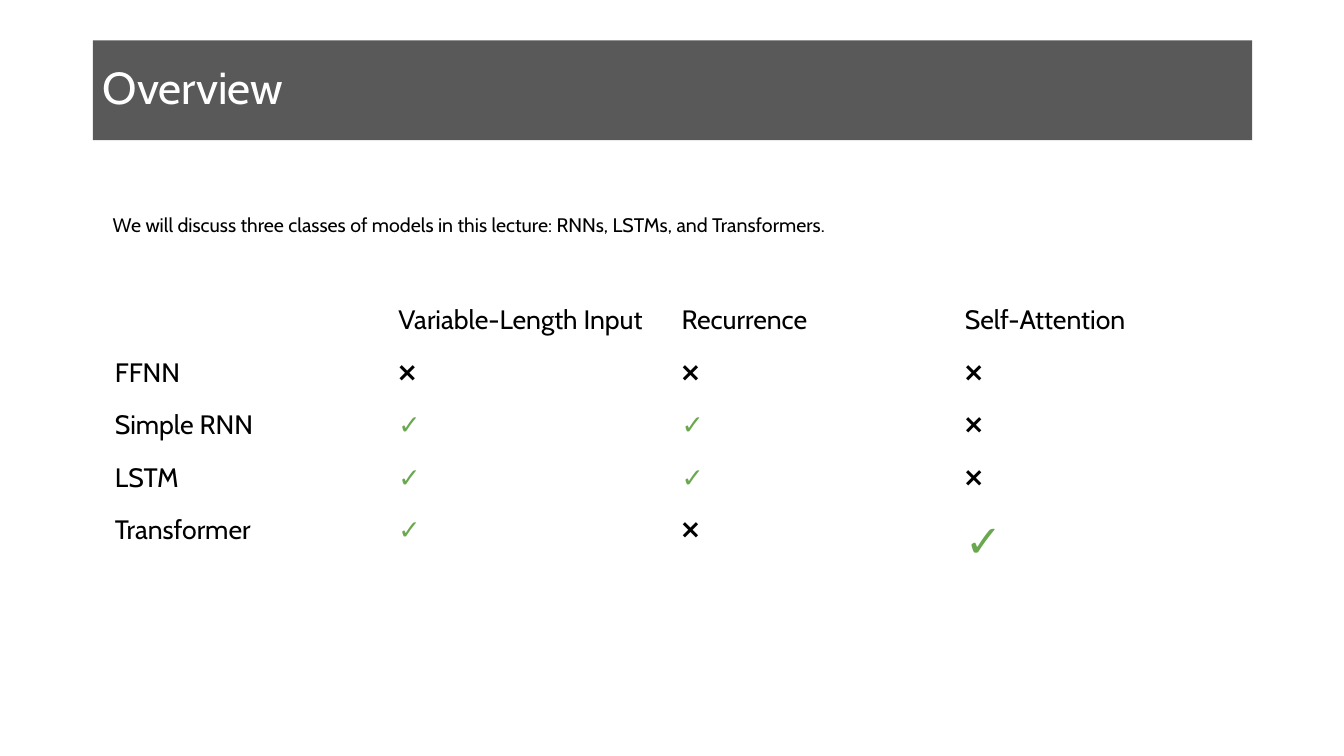
from lxml.etree import SubElement as Sub
from pptx import Presentation
from pptx.dml.color import RGBColor
from pptx.enum.text import MSO_ANCHOR as Anchor, MSO_AUTO_SIZE as Fit, PP_ALIGN as Align
from pptx.oxml.ns import qn
from pptx.util import Inches, Pt


def paint(color, tone):
    color.rgb = RGBColor.from_string(tone)


def write(para, text, size, tone="000000"):
    run = para.add_run()
    run.text = text
    for key, val in {"name": "Cabin", "size": Pt(size), "bold": False}.items():
        setattr(run.font, key, val)
    paint(run.font.color, tone)


deck = Presentation()
deck.slide_width, deck.slide_height = Inches(13.33), Inches(7.5)
slide = deck.slides.add_slide(deck.slide_layouts[5])

title = slide.shapes.title
place = {"left": 0.92, "top": 0.4, "width": 11.5, "height": 0.99}
for key, val in place.items():
    setattr(title, key, Inches(val))
title.fill.solid()
paint(title.fill.fore_color, "595959")
frame = title.text_frame
form = {"vertical_anchor": Anchor.MIDDLE, "word_wrap": True, "auto_size": Fit.NONE,
        "margin_left": Inches(0.1), "margin_right": Inches(0.1),
        "margin_top": Inches(0.05), "margin_bottom": Inches(0.05)}
for key, val in form.items():
    setattr(frame, key, val)
head = frame.paragraphs[0]
head.alignment = Align.LEFT
head.line_spacing = 0.9
write(head, "Overview", 32, "FFFFFF")

sides = ("margin_left", "margin_right", "margin_top", "margin_bottom")
rows = [
    ("", "Variable-Length Input", "Recurrence", "Self-Attention"),
    ("FFNN", "❌", "❌", "❌"),
    ("Simple RNN", "✓", "✓", "❌"),
    ("LSTM", "✓", "✓", "❌"),
    ("Transformer", "✓", "❌", "✓"),
]
table = slide.shapes.add_table(5, 4, Inches(1.04), Inches(2.92),
                               Inches(11.24), Inches(2.1)).table
table.first_row = table.horz_banding = False
for col in table.columns:
    col.width = Inches(2.81)
for r, row in enumerate(rows):
    table.rows[r].height = Inches(0.42)
    for c, text in enumerate(row):
        cell = table.cell(r, c)
        for side in sides:
            setattr(cell, side, Inches(0.1))
        props = cell._tc.get_or_add_tcPr()
        for edge in ("lnL", "lnR", "lnT", "lnB"):
            line = Sub(props, qn("a:" + edge), w=str(Pt(0.75)))
            Sub(Sub(line, qn("a:solidFill")), qn("a:srgbClr"), val="FFFFFF")
        cell.fill.background()
        if text:
            size = 32 if (r, c) == (4, 3) else 19
            tone = "6AA84F" if text == "✓" else "000000"
            write(cell.text_frame.paragraphs[0], text, size, tone)

intro = slide.shapes.add_textbox(Inches(1.02), Inches(2.01), Inches(11.3), Inches(0.44))
frame = intro.text_frame
frame.word_wrap = True
frame.auto_size = Fit.SHAPE_TO_FIT_TEXT
for side in sides:
    setattr(frame, side, Inches(0.1))
write(frame.paragraphs[0],
      "We will discuss three classes of models in this lecture: RNNs, LSTMs, and Transformers.", 14)

deck.save("out.pptx")
